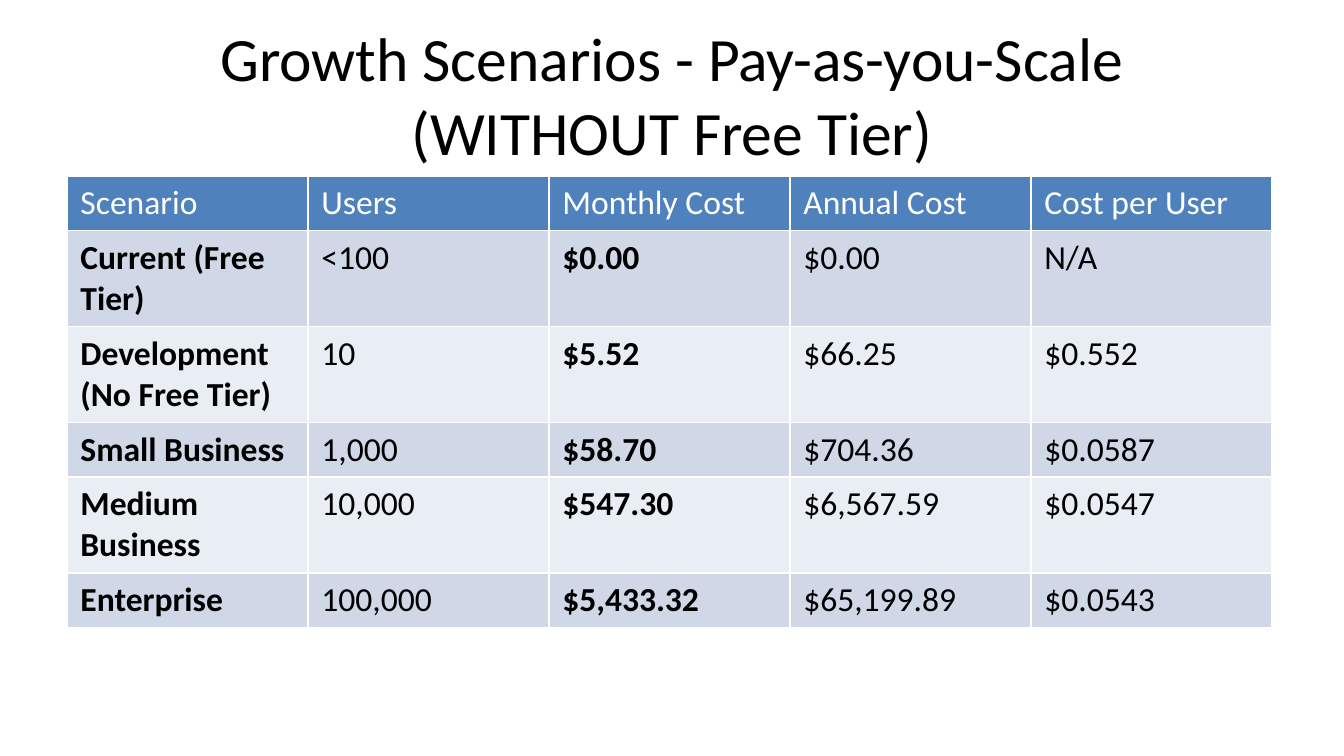
from pptx import Presentation
from pptx.dml.color import RGBColor
from pptx.enum.text import MSO_ANCHOR as Anchor, MSO_AUTO_SIZE as Fit, PP_ALIGN as Align
from pptx.util import Pt

SCALE = 914400 / 134.4  # EMU in one px
FONT = "Calibri"
BLACK, WHITE = "000000", "FFFFFF"
HEAD, BANDS = "4F81BD", ("E9EDF4", "D0D8E8")
BOLD_COLS = (0, 2)

TITLE = "Growth Scenarios - Pay-as-you-Scale (WITHOUT Free Tier)"
ROWS = [
    ("Scenario", "Users", "Monthly Cost", "Annual Cost", "Cost per User"),
    ("Current (Free Tier)", "<100", "$0.00", "$0.00", "N/A"),
    ("Development (No Free Tier)", "10", "$5.52", "$66.25", "$0.552"),
    ("Small Business", "1,000", "$58.70", "$704.36", "$0.0587"),
    ("Medium Business", "10,000", "$547.30", "$6,567.59", "$0.0547"),
    ("Enterprise", "100,000", "$5,433.32", "$65,199.89", "$0.0543"),
]
HEIGHTS = (54, 96, 96, 54, 96, 54)
COL_WIDTH = 241


def px(num):
    return round(num * SCALE)


def color(code):
    return RGBColor.from_string(code)


def add_run(para, text, size, ink, bold=False):
    run = para.add_run()
    run.text = text
    font = run.font
    font.name, font.size, font.bold = FONT, Pt(size), bold
    font.color.rgb = color(ink)


def set_title(slide):
    title = slide.shapes.title
    title.left, title.top = px(67), px(31)
    title.width, title.height = px(1210), px(126)
    frame = title.text_frame
    frame.word_wrap = True
    frame.auto_size = Fit.NONE
    frame.vertical_anchor = Anchor.MIDDLE
    para = frame.paragraphs[0]
    para.alignment = Align.CENTER
    add_run(para, TITLE, 33, BLACK)


def fill_cell(cell, text, fill, ink, bold):
    cell.fill.solid()
    cell.fill.fore_color.rgb = color(fill)
    add_run(cell.text_frame.paragraphs[0], text, 18, ink, bold)


def add_costs(slide):
    count = len(ROWS[0])
    frame = slide.shapes.add_table(
        len(ROWS), count, px(67), px(176), px(COL_WIDTH * count), px(sum(HEIGHTS)))
    table = frame.table
    for col in table.columns:
        col.width = px(COL_WIDTH)

    # The default table style supplies the white rules
    for i, (row, height) in enumerate(zip(ROWS, HEIGHTS)):
        table.rows[i].height = px(height)
        fill, ink = (BANDS[i % 2], BLACK) if i else (HEAD, WHITE)
        for j, text in enumerate(row):
            fill_cell(table.cell(i, j), text, fill, ink, i > 0 and j in BOLD_COLS)


def main():
    deck = Presentation()
    deck.slide_width, deck.slide_height = px(1344), px(756)
    slide = deck.slides.add_slide(deck.slide_layouts[5])  # title only
    set_title(slide)
    add_costs(slide)
    deck.save("out.pptx")


if __name__ == "__main__":
    main()
